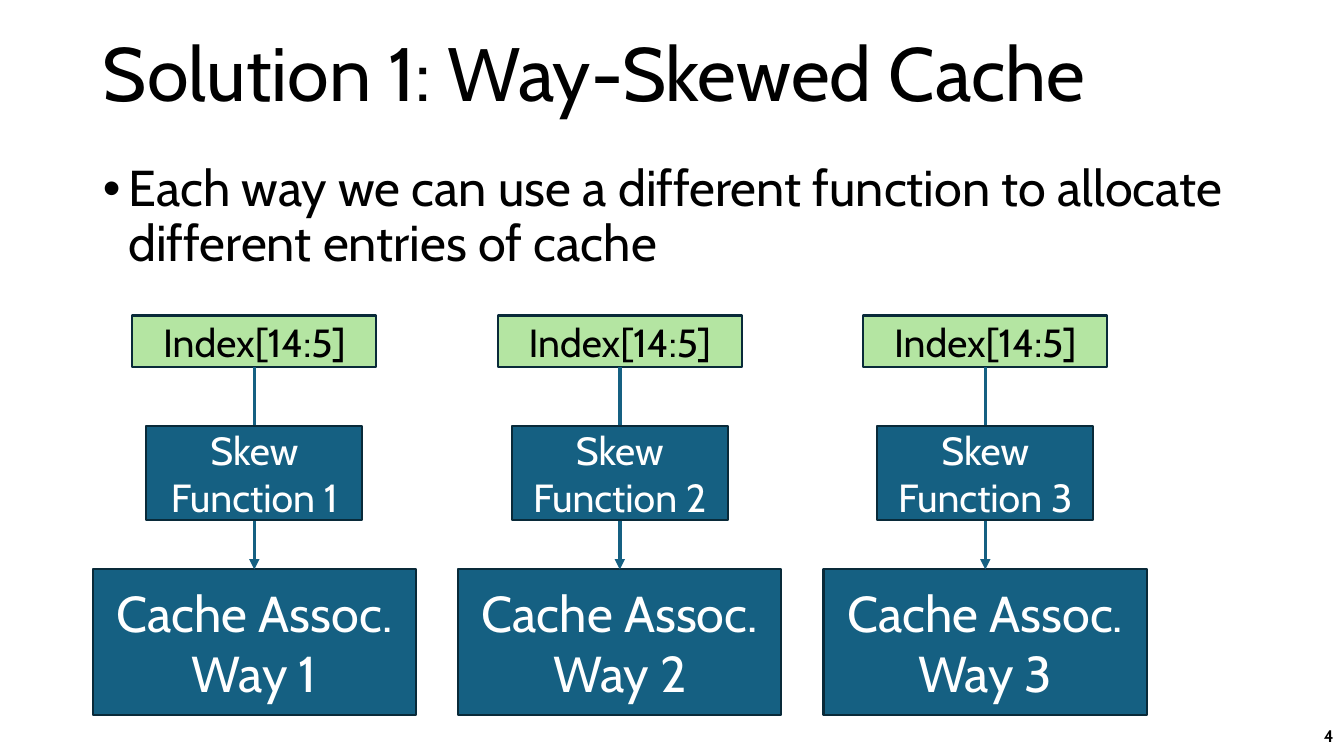
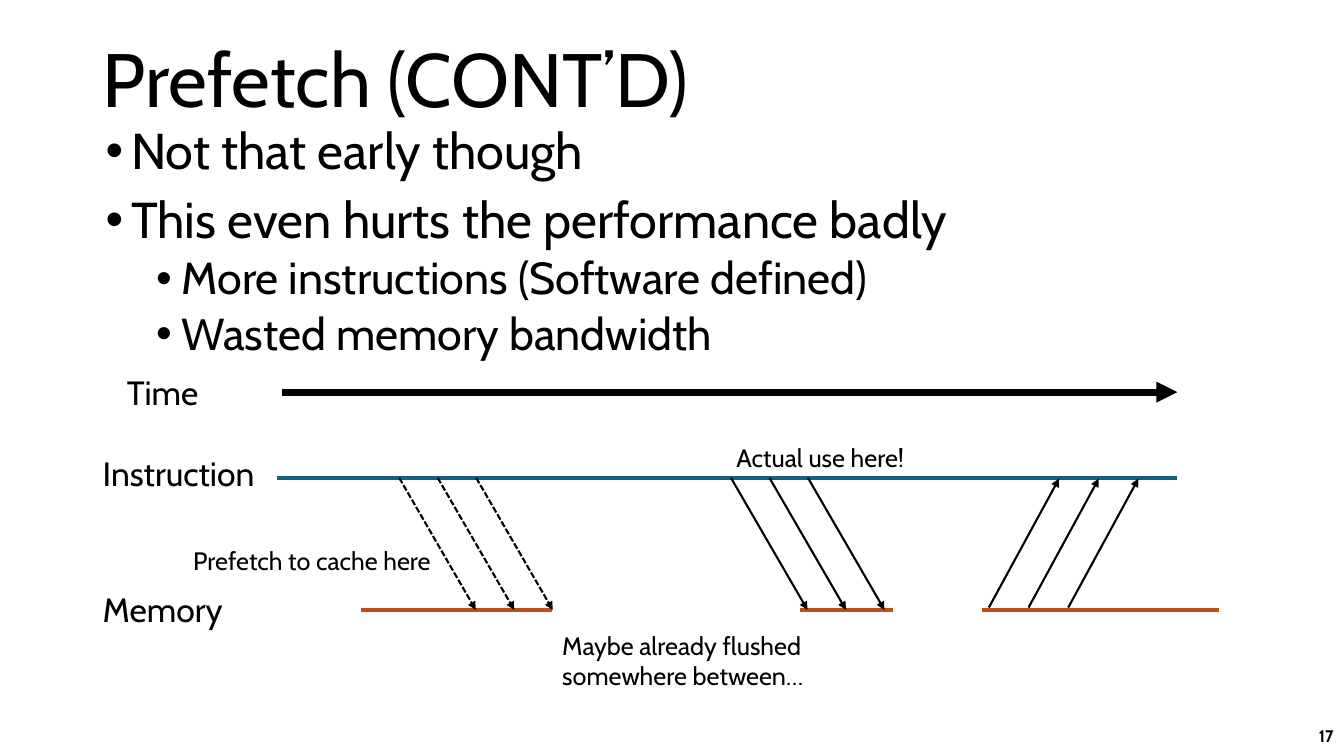
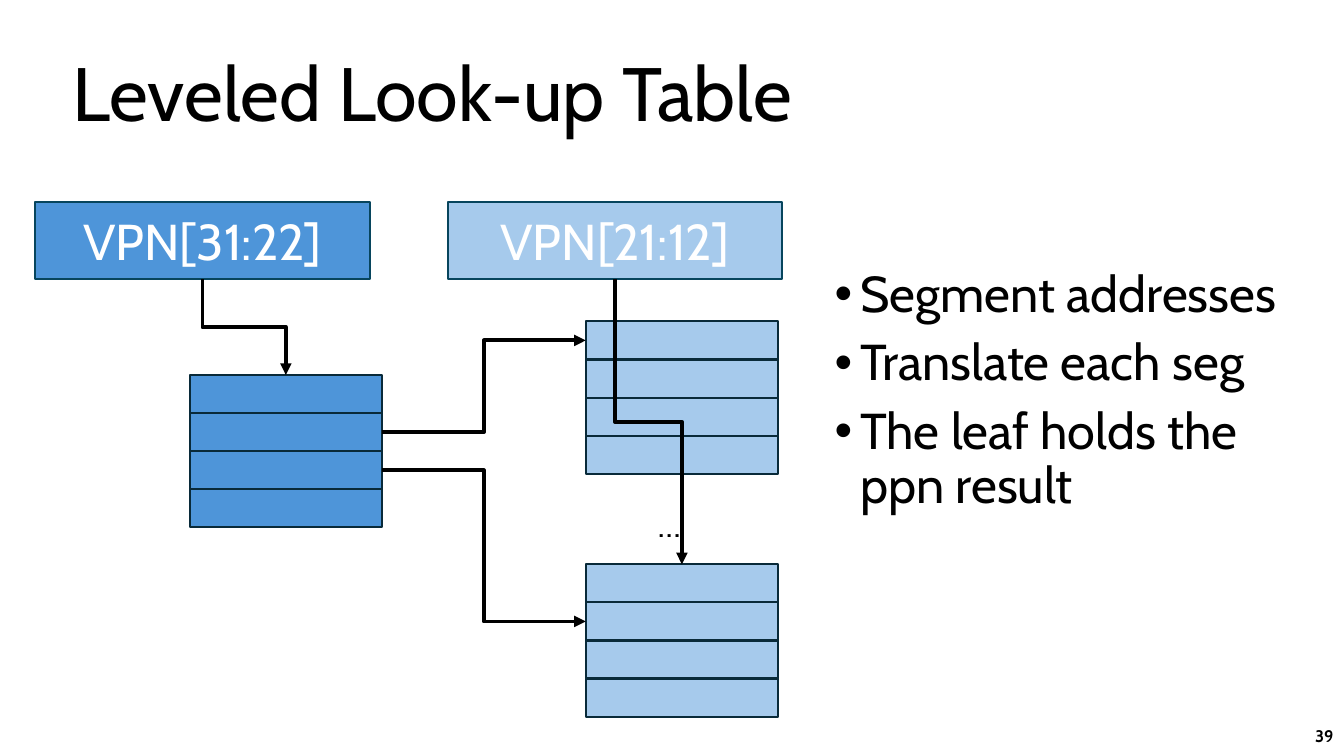
from dataclasses import dataclass
from typing import NamedTuple

from lxml.etree import SubElement
from pptx import Presentation
from pptx.dml.color import RGBColor
from pptx.enum.dml import MSO_LINE
from pptx.enum.shapes import MSO_CONNECTOR, MSO_SHAPE
from pptx.enum.text import MSO_ANCHOR, MSO_AUTO_SIZE, PP_ALIGN
from pptx.oxml.ns import qn
from pptx.shapes.autoshape import Shape
from pptx.shapes.connector import Connector
from pptx.slide import Slide
from pptx.text.text import TextFrame
from pptx.util import Cm, Pt


# Shared look
@dataclass(frozen=True)
class Theme:
    font: str = "Cabin"
    black: str = "000000"
    white: str = "FFFFFF"
    teal: str = "156082"
    green: str = "B4E5A2"
    orange: str = "C04F15"
    blue: str = "4E95D9"
    pale_blue: str = "A6CAEC"
    outline: str = "092A39"
    field_outline: str = "07455D"
    title: float = 54
    large: float = 36
    sub: float = 32
    medium: float = 28
    label: float = 24
    note: float = 18
    page: float = 12
    border: float = 1.5


THEME = Theme()


class Box(NamedTuple):
    """Left, top, width and height in centimetres."""
    left: float
    top: float
    width: float
    height: float


class Bullet(NamedTuple):
    text: str
    level: int = 0


class Stroke(NamedTuple):
    color: str
    width: float
    arrow: bool = False
    dashed: bool = False


class Label(NamedTuple):
    text: str
    box: Box
    size: float
    wrap: bool = False


class Burst(NamedTuple):
    """Parallel arrows between the instruction and memory lines."""
    start: float
    pitch: float
    slant: float
    top: float
    bottom: float
    stroke: Stroke


class Tier(NamedTuple):
    """One kind of block in the way-skewed columns."""
    text: str
    top: float
    width: float
    height: float
    fill: str
    size: float
    color: str


PAGE_BOX = Box(26.24, 18.03, 7.62, 1.02)


def place(shape: Shape, box: Box) -> None:
    shape.left, shape.top, shape.width, shape.height = map(Cm, box)


def style_runs(frame: TextFrame, size: float, color: str = THEME.black,
               bold: bool = False) -> None:
    for paragraph in frame.paragraphs:
        for run in paragraph.runs:
            run.font.name = THEME.font
            run.font.size = Pt(size)
            run.font.bold = bold
            run.font.color.rgb = RGBColor.from_string(color)


def add_label(slide: Slide, label: Label) -> TextFrame:
    frame = slide.shapes.add_textbox(*map(Cm, label.box)).text_frame
    frame.word_wrap = label.wrap
    frame.text = label.text
    style_runs(frame, label.size)
    return frame


def add_block(slide: Slide, box: Box, fill: str, text: str = "",
              size: float = THEME.large, color: str = THEME.white,
              outline: str = THEME.outline) -> Shape:
    block = slide.shapes.add_shape(MSO_SHAPE.RECTANGLE, *map(Cm, box))
    block.shadow.inherit = False
    block.fill.solid()
    block.fill.fore_color.rgb = RGBColor.from_string(fill)
    block.line.color.rgb = RGBColor.from_string(outline)
    block.line.width = Pt(THEME.border)
    if text:
        frame = block.text_frame
        frame.text = text
        frame.vertical_anchor = MSO_ANCHOR.MIDDLE
        frame.paragraphs[0].alignment = PP_ALIGN.CENTER
        style_runs(frame, size, color)
    return block


# Lines and arrows
def apply_stroke(line: Connector, stroke: Stroke) -> None:
    line.line.color.rgb = RGBColor.from_string(stroke.color)
    line.line.width = Pt(stroke.width)
    if stroke.dashed:
        line.line.dash_style = MSO_LINE.SQUARE_DOT
    properties = line._element.spPr
    if stroke.arrow:
        SubElement(properties.find(qn("a:ln")), qn("a:tailEnd"), type="triangle")
    SubElement(properties, qn("a:effectLst"))


def add_line(slide: Slide, x1: float, y1: float, x2: float, y2: float,
             stroke: Stroke) -> None:
    line = slide.shapes.add_connector(
        MSO_CONNECTOR.STRAIGHT, Cm(x1), Cm(y1), Cm(x2), Cm(y2))
    apply_stroke(line, stroke)


def join(slide: Slide, kind: MSO_CONNECTOR, source: Shape, source_side: int,
         target: Shape, target_side: int, stroke: Stroke) -> Connector:
    line = slide.shapes.add_connector(kind, 0, 0, 0, 0)
    line.begin_connect(source, source_side)
    line.end_connect(target, target_side)
    apply_stroke(line, stroke)
    return line


def turn_downward(elbow: Connector) -> None:
    """Make an elbow leave and arrive vertically, going down and right."""
    left, top, across, down = elbow.left, elbow.top, elbow.width, elbow.height
    elbow.left = left + (across - down) // 2
    elbow.top = top + (down - across) // 2
    elbow.width, elbow.height = down, across
    transform = elbow._element.spPr.find(qn("a:xfrm"))
    transform.set("rot", "16200000")
    transform.set("flipH", "1")


# Slide frame: title, list and page number
def add_slide(deck: Presentation, title: str, title_box: Box,
              bullets: list[Bullet], body_box: Box, page: int) -> Slide:
    slide = deck.slides.add_slide(deck.slide_layouts[1])
    heading, body = slide.shapes.title, slide.placeholders[1]
    place(heading, title_box)
    place(body, body_box)

    frame = heading.text_frame
    frame.text = title
    frame.auto_size = MSO_AUTO_SIZE.NONE
    frame.vertical_anchor = MSO_ANCHOR.MIDDLE
    frame.paragraphs[0].alignment = PP_ALIGN.LEFT
    frame.paragraphs[0].line_spacing = 0.9
    style_runs(frame, THEME.title)

    frame = body.text_frame
    frame.text = "\n".join(bullet.text for bullet in bullets)
    frame.auto_size = MSO_AUTO_SIZE.NONE
    style_runs(frame, THEME.large)
    for paragraph, bullet in zip(frame.paragraphs, bullets):
        paragraph.level = bullet.level
        paragraph.line_spacing = 0.9
        paragraph.space_before = Pt(5 if bullet.level else 10)
        if bullet.level:
            paragraph.runs[0].font.size = Pt(THEME.sub)
        properties = paragraph._p.get_or_add_pPr()
        properties.set("marL", str(Cm(0.64 + 1.27 * bullet.level)))
        properties.set("indent", str(Cm(-0.64)))
        SubElement(properties, qn("a:buChar"), char="•")

    number = add_label(slide, Label(str(page), PAGE_BOX, THEME.page, True))
    number.vertical_anchor = MSO_ANCHOR.MIDDLE
    number.paragraphs[0].alignment = PP_ALIGN.RIGHT
    style_runs(number, THEME.page, bold=True)
    return slide


def build_skewed_cache(deck: Presentation) -> None:
    slide = add_slide(
        deck, "Solution 1: Way-Skewed Cache", Box(2.34, 0.1, 29.21, 3.68),
        [Bullet("Each way we can use a different function to allocate "
                "different entries of cache")],
        Box(2.34, 3.99, 29.21, 4.29), 4)
    cache = Tier("Cache Assoc. Way {}", 14.35, 8.15, 3.68,
                 THEME.teal, THEME.large, THEME.white)
    index = Tier("Index[14:5]", 7.95, 6.15, 1.31,
                 THEME.green, THEME.medium, THEME.black)
    skew = Tier("Skew Function {}", 10.74, 5.44, 2.36,
                THEME.teal, THEME.medium, THEME.white)

    def add_tier(tier: Tier, way: int) -> Shape:
        center = 6.41 + 9.21 * (way - 1)
        box = Box(center - tier.width / 2, tier.top, tier.width, tier.height)
        return add_block(slide, box, tier.fill, tier.text.format(way),
                         tier.size, tier.color)

    for way in (1, 2, 3):
        cache_block = add_tier(cache, way)
        index_block = add_tier(index, way)
        join(slide, MSO_CONNECTOR.STRAIGHT, index_block, 2, cache_block, 0,
             Stroke(THEME.teal, 2.5, arrow=True))
        add_tier(skew, way)


def build_prefetch(deck: Presentation) -> None:
    slide = add_slide(
        deck, "Prefetch (CONT’D)", Box(2.34, 0.46, 28.4, 3.28),
        [Bullet("Not that early though"),
         Bullet("This even hurts the performance badly"),
         Bullet("More instructions (Software defined)", 1),
         Bullet("Wasted memory bandwidth", 1)],
        Box(2.41, 3.05, 29.21, 6.45), 17)
    instruction_y, memory_y = 12.04, 15.37

    # Timelines
    add_line(slide, 7.11, 9.88, 29.67, 9.88, Stroke(THEME.black, 5, arrow=True))
    add_line(slide, 6.98, instruction_y, 29.67, instruction_y,
             Stroke(THEME.teal, 3))
    for busy_from, busy_to in ((9.09, 13.92), (20.17, 22.5), (24.74, 30.73)):
        add_line(slide, busy_from, memory_y, busy_to, memory_y,
                 Stroke(THEME.orange, 3))

    # Requests and replies
    solid = Stroke(THEME.black, 1.5, arrow=True)
    bursts = (
        Burst(10.06, 0.97, 1.93, instruction_y, memory_y,
              solid._replace(dashed=True)),
        Burst(18.42, 0.97, 1.93, instruction_y, memory_y, solid),
        Burst(24.92, 1, 1.77, 15.31, 12.06, solid),
    )
    for burst in bursts:
        for step in range(3):
            x = burst.start + step * burst.pitch
            add_line(slide, x, burst.top, x + burst.slant, burst.bottom,
                     burst.stroke)

    for label in (
        Label("Time", Box(2.95, 9.25, 2.31, 1.27), THEME.label),
        Label("Instruction", Box(2.34, 11.28, 4.52, 1.27), THEME.label),
        Label("Memory", Box(2.34, 14.71, 3.53, 1.27), THEME.label),
        Label("Prefetch to cache here", Box(4.62, 13.61, 6.73, 1.02), THEME.note),
        Label("Maybe already flushed somewhere between…",
              Box(13.92, 15.75, 6.88, 1.8), THEME.note, True),
        Label("Actual use here!", Box(18.31, 11.02, 5.72, 1.02),
              THEME.note, True),
    ):
        add_label(slide, label)


def build_lookup_table(deck: Presentation) -> None:
    slide = add_slide(
        deck, "Leveled Look-up Table", Box(1.57, 0.61, 29.21, 3.68),
        [Bullet("Segment addresses"), Bullet("Translate each seg"),
         Bullet("The leaf holds the ppn result")],
        Box(20.78, 6.65, 12.19, 7.19), 39)

    # Address fields
    high_field, low_field = (
        add_block(slide, Box(left, 5.08, 8.43, 1.96), fill, text,
                  outline=THEME.field_outline)
        for left, fill, text in ((0.89, THEME.blue, "VPN[31:22]"),
                                 (11.28, THEME.pale_blue, "VPN[21:12]")))

    # Page tables of four entries each
    row_height = 0.96
    root, upper_leaf, lower_leaf = (
        [add_block(slide, Box(left, top + row * row_height, 4.85, row_height), fill)
         for row in range(4)]
        for left, top, fill in ((4.78, 9.45, THEME.blue),
                                (14.76, 8.1, THEME.pale_blue),
                                (14.76, 14.22, THEME.pale_blue)))
    add_label(slide, Label("…", Box(16.33, 12.57, 1.04, 1.27), THEME.label, True))

    # Look-up steps
    step = Stroke(THEME.black, 2.75, arrow=True)
    for entry, leaf_entry in ((root[1], upper_leaf[0]), (root[2], lower_leaf[1])):
        join(slide, MSO_CONNECTOR.ELBOW, entry, 3, leaf_entry, 1, step)
    for field, table in ((high_field, root), (low_field, lower_leaf)):
        turn_downward(join(slide, MSO_CONNECTOR.ELBOW, field, 2, table[0], 0, step))


def main() -> None:
    deck = Presentation()
    deck.slide_width, deck.slide_height = Cm(33.87), Cm(19.05)
    build_skewed_cache(deck)
    build_prefetch(deck)
    build_lookup_table(deck)
    deck.save("out.pptx")


if __name__ == "__main__":
    main()
